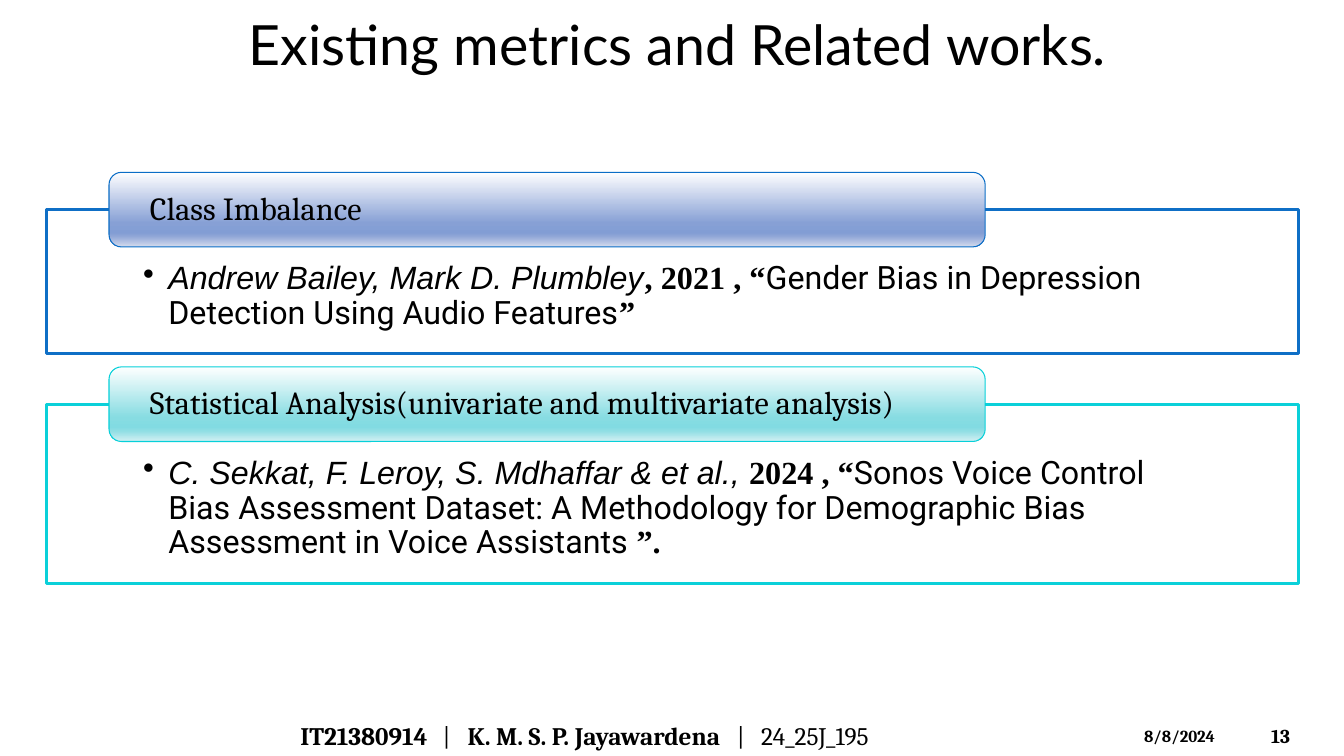
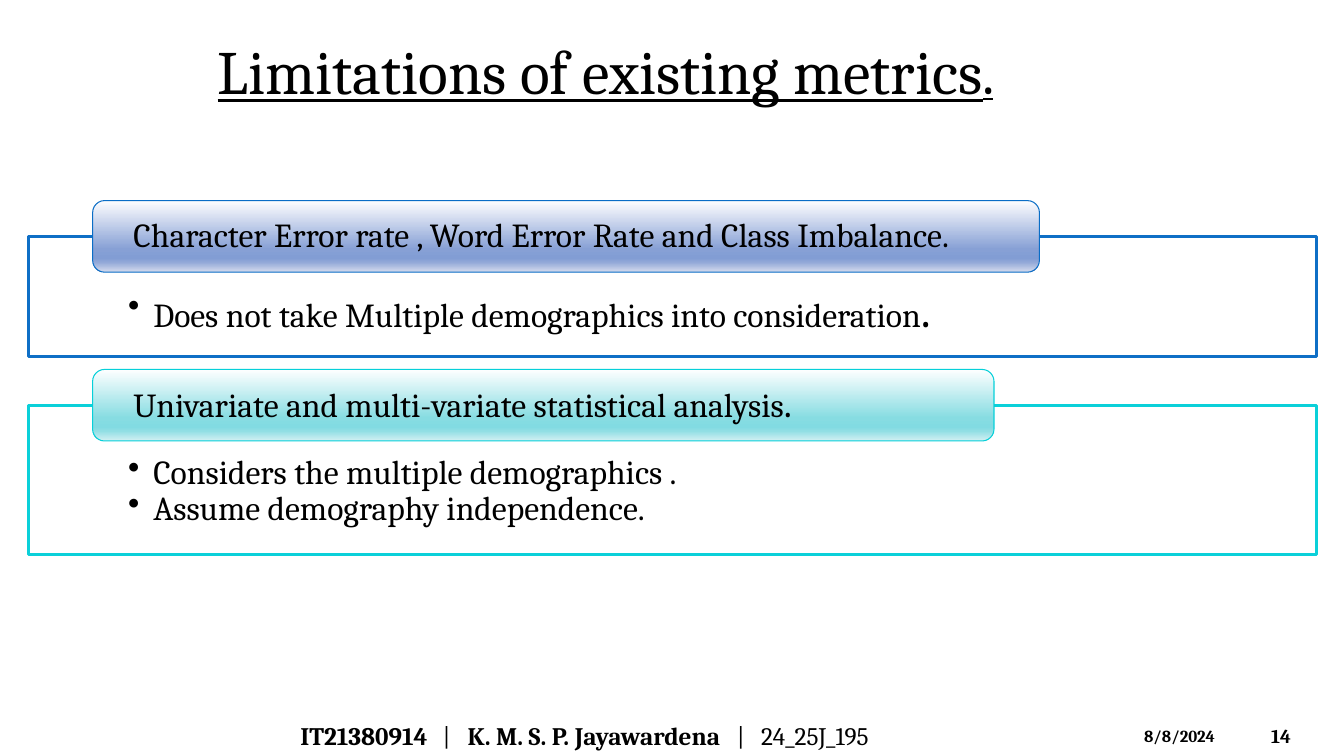
from lxml.etree import SubElement
from pptx import Presentation
from pptx.dml.color import RGBColor
from pptx.enum.shapes import MSO_SHAPE as Shape
from pptx.enum.text import MSO_ANCHOR as Anchor, PP_ALIGN as Align
from pptx.oxml.ns import qn
from pptx.util import Inches, Pt

BLACK = RGBColor(0x00, 0x00, 0x00)
WHITE = RGBColor(0xFF, 0xFF, 0xFF)
BLUE_FRAME = RGBColor(0x0F, 0x6F, 0xC6)
BLUE_EDGE = RGBColor(0x0A, 0x6D, 0xC6)
TEAL_FRAME = RGBColor(0x0B, 0xD0, 0xD9)
TEAL_EDGE = RGBColor(0x06, 0xD0, 0xD9)
STOPS = (0, 68, 81, 86, 100)
BLUE_SHADES = [RGBColor(0xFE, 0xFE, 0xFF), RGBColor(0x87, 0xA0, 0xD5),
               RGBColor(0x82, 0x9D, 0xD4), RGBColor(0x91, 0xA7, 0xD7),
               RGBColor(0xD4, 0xDB, 0xED)]
TEAL_SHADES = [RGBColor(0xFE, 0xFF, 0xFF), RGBColor(0x87, 0xDC, 0xE2),
               RGBColor(0x82, 0xDB, 0xE2), RGBColor(0x90, 0xDE, 0xE4),
               RGBColor(0xD3, 0xF0, 0xF3)]
THEMES = [(BLUE_FRAME, BLUE_EDGE, BLUE_SHADES),
          (TEAL_FRAME, TEAL_EDGE, TEAL_SHADES)]

SERIF = "Cambria"
AUTHORS = {"font": "Arial", "italic": True}
MARKS = {"font": "Times New Roman", "bold": True}
PAPER = {"font": "Roboto"}
BOLD = {"bold": True}
PANEL_GAP = 0.13


def format_run(run, size, font=SERIF, bold=False, italic=False, underline=False):
    run.font.size = Pt(size)
    run.font.name = font
    run.font.bold = bold
    run.font.italic = italic
    run.font.underline = underline
    run.font.color.rgb = BLACK


def add_bullet(paragraph, indent=0.25):
    properties = paragraph._p.get_or_add_pPr()
    properties.set("marL", str(Inches(indent)))
    properties.set("indent", str(-Inches(indent)))
    SubElement(properties, qn("a:buChar"), char="•")


def add_tabs(paragraph, tabs):
    tab_list = SubElement(paragraph._p.get_or_add_pPr(), qn("a:tabLst"))
    for position, side in tabs:
        SubElement(tab_list, qn("a:tab"), pos=str(Inches(position)), algn=side)


def write(shape, *paragraphs, anchor=Anchor.TOP, align=Align.LEFT, spacing=1.0,
          insets=(0.1, 0.05, 0.1, 0.05), bullet=False, tabs=(), **style):
    frame = shape.text_frame
    frame.word_wrap = True
    frame.vertical_anchor = anchor
    (frame.margin_left, frame.margin_top,
     frame.margin_right, frame.margin_bottom) = map(Inches, insets)
    for index, pieces in enumerate(paragraphs):
        paragraph = frame.add_paragraph() if index else frame.paragraphs[0]
        if bullet:
            add_bullet(paragraph)
        if tabs:
            add_tabs(paragraph, tabs)
        paragraph.alignment = align
        paragraph.line_spacing = spacing
        for text, changes in pieces:
            run = paragraph.add_run()
            run.text = text
            format_run(run, **{**style, **changes})


def add_label(slide, box, *paragraphs, **style):
    write(slide.shapes.add_textbox(*map(Inches, box)), *paragraphs, **style)


def add_box(slide, kind, box, edge, width):
    shape = slide.shapes.add_shape(kind, *map(Inches, box))
    shape.shadow.inherit = False
    shape.fill.solid()
    shape.fill.fore_color.rgb = WHITE
    shape.line.color.rgb = edge
    shape.line.width = Pt(width)
    return shape


def shade(shape, colours):
    shape.fill.gradient()
    shape.fill.gradient_angle = 270
    stops = shape.element.spPr.find(".//" + qn("a:gsLst"))
    stops.clear()
    for position, colour in zip(STOPS, colours):
        stop = SubElement(stops, qn("a:gs"), pos=str(position * 1000))
        SubElement(stop, qn("a:srgbClr"), val=str(colour))


def add_panels(slide, left, top, width, header_height, size, insets, panels):
    for theme, (header_width, height, heading, bullets) in zip(THEMES, panels):
        frame_colour, edge, shades = theme
        frame_top = top + header_height / 2
        frame = add_box(slide, Shape.RECTANGLE, (left, frame_top, width, height),
                        frame_colour, 2)
        write(frame, *bullets, size=size, spacing=0.9, bullet=True, insets=insets)
        header = add_box(slide, Shape.ROUNDED_RECTANGLE,
                         (left + width / 20, top, header_width, header_height),
                         edge, 0.75)
        shade(header, shades)
        write(header, heading, size=size, spacing=0.9, anchor=Anchor.MIDDLE,
              insets=(0.37, 0, 0.37, 0))
        top = frame_top + height + PANEL_GAP


def add_footer(slide, number):
    add_label(slide, (2.88, 7.1, 7.45, 0.4),
              [("IT21380914", BOLD), ("\t|\t", {}),
               ("K. M. S. P. Jayawardena", BOLD), ("\t|\t24_25J_195", {})],
              size=18, anchor=Anchor.MIDDLE,
              tabs=[(1.45, "ctr"), (1.66, "l"), (4.37, "ctr"), (4.57, "l")])
    add_label(slide, (11.25, 7.15, 1.17, 0.3), [("8/8/2024", BOLD)], size=12)
    add_label(slide, (12.51, 7.1, 0.74, 0.4), [(str(number), BOLD)], size=14,
              anchor=Anchor.MIDDLE)


def add_related_works(slide):
    add_label(slide, (0.33, 0.05, 12.78, 0.75),
              [("Existing metrics and Related works.", {})],
              size=39.6, font="Lato", align=Align.CENTER, anchor=Anchor.MIDDLE)
    bailey = [
        ("Andrew Bailey, Mark D. Plumbley", AUTHORS),
        (", 2021 , “", MARKS),
        ("Gender Bias in Depression Detection Using Audio Features", PAPER),
        ("”", MARKS),
    ]
    sekkat = [
        ("C. Sekkat, F. Leroy, S. Mdhaffar & et al.,", AUTHORS),
        (" 2024 , “", MARKS),
        ("Sonos Voice Control Bias Assessment Dataset: A Methodology for "
         "Demographic Bias Assessment in Voice Assistants ", PAPER),
        ("”.", MARKS),
    ]
    analysis = "Statistical Analysis(univariate and multivariate analysis)"
    add_panels(slide, 0.46, 1.71, 12.42, 0.74, 23, (0.96, 0.52, 0.96, 0.18), [
        (8.69, 1.43, [("Class Imbalance", {})], [bailey]),
        (8.69, 1.78, [(analysis, {})], [sekkat]),
    ])


def add_limitations(slide):
    add_label(slide, (2.06, 0.28, 9.08, 0.84),
              [("Limitations of existing metrics", {}),
               (".", {"size": 32, "bold": True})],
              size=44, underline=True)
    error_rates = "Character Error rate , Word Error Rate and Class Imbalance."
    single = [("Does not take Multiple demographics into consideration", {}),
              (".", {"size": 34})]
    statistics = [("Univariate and multi-variate statistical analysis", {}),
                  (".", {"size": 28})]
    add_panels(slide, 0.28, 1.99, 12.78, 0.71, 24, (0.99, 0.5, 0.99, 0.19), [
        (9.39, 1.19, [(error_rates, {})], [single]),
        (8.94, 1.48, statistics, [
            [("Considers the multiple demographics .", {})],
            [("Assume demography independence.", {})],
        ]),
    ])


def main():
    deck = Presentation()
    deck.slide_width = Inches(13.33)
    deck.slide_height = Inches(7.5)
    for number, add_content in enumerate((add_related_works, add_limitations), 13):
        slide = deck.slides.add_slide(deck.slide_layouts[6])
        add_content(slide)
        add_footer(slide, number)
    deck.save("out.pptx")


if __name__ == "__main__":
    main()
